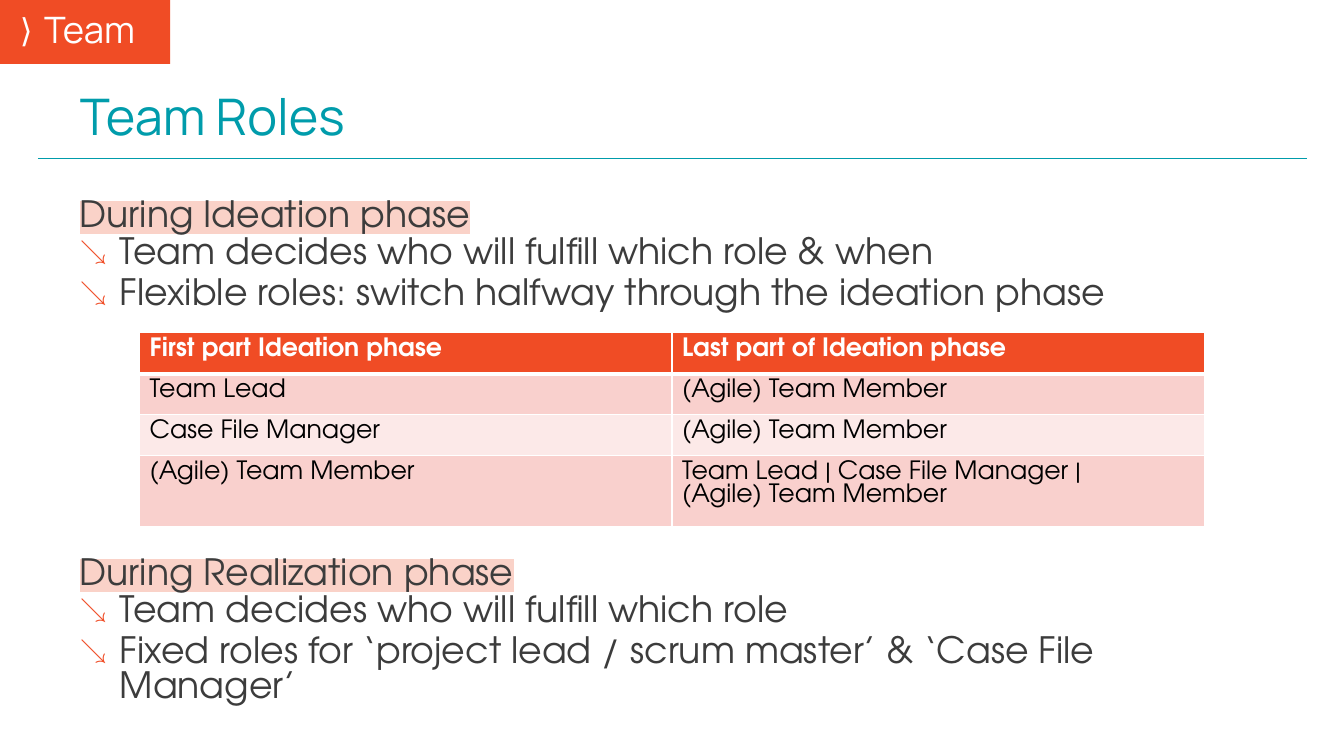
from lxml import etree
from pptx import Presentation
from pptx.dml.color import RGBColor
from pptx.enum.shapes import MSO_CONNECTOR, MSO_SHAPE
from pptx.enum.text import MSO_ANCHOR, PP_ALIGN
from pptx.oxml.ns import qn
from pptx.util import Pt

PX = 9525
STRAIGHT = MSO_CONNECTOR.STRAIGHT
RECTANGLE = MSO_SHAPE.RECTANGLE
LEFT = PP_ALIGN.LEFT
TOP, MIDDLE, BOTTOM = MSO_ANCHOR.TOP, MSO_ANCHOR.MIDDLE, MSO_ANCHOR.BOTTOM
HEADING_FONT, BODY_FONT = "Manrope", "TeX Gyre Adventor"
COLORS = {
    "orange": "F04C25", "teal": "009CAB", "text": "3C3C3C", "white": "FFFFFF",
    "black": "000000", "highlight": "FAD2C8", "band": "F9D0CD", "light": "FCE9E8",
}


def add_text(para, text, font, size, color, spacing, bold=False):
    para.alignment = LEFT
    para.line_spacing = spacing
    span = para.add_run()
    span.text = text
    span.font.size = Pt(size)
    span.font.bold = bold
    span.font.color.rgb = RGBColor.from_string(COLORS[color])
    span.font.name = font
    return span


def add_bullet(para, symbol, color, percent, indent):
    props = para._p.get_or_add_pPr()
    props.set("marL", str(indent * PX))
    props.set("indent", str(-indent * PX))
    bullet_color = etree.SubElement(props, qn("a:buClr"))
    etree.SubElement(bullet_color, qn("a:srgbClr"), val=COLORS[color])
    etree.SubElement(props, qn("a:buSzPct"), val=str(percent * 1000))
    etree.SubElement(props, qn("a:buFont"), typeface=HEADING_FONT)
    etree.SubElement(props, qn("a:buChar"), char=symbol)


deck = Presentation()
deck.slide_width, deck.slide_height = 1280 * PX, 720 * PX
page = deck.slides.add_slide(deck.slide_layouts[6])

rule = page.shapes.add_connector(STRAIGHT, 36 * PX, 151 * PX, 1245 * PX, 151 * PX)
rule.line.color.rgb = RGBColor.from_string(COLORS["teal"])
rule.line.width = Pt(0.5)
etree.SubElement(rule._element.spPr, qn("a:effectLst"))

body = page.shapes.add_textbox(0, 153 * PX, 1280 * PX, 550 * PX)
title = page.shapes.add_shape(RECTANGLE, 0, 60 * PX, 1280 * PX, 90 * PX)
tag = page.shapes.add_shape(RECTANGLE, 0, 0, 162 * PX, 61 * PX)

for box, fill in [(title, "white"), (tag, "orange")]:
    box.shadow.inherit = False
    box.fill.solid()
    box.fill.fore_color.rgb = RGBColor.from_string(COLORS[fill])
    box.line.fill.background()
title_color = title._element.spPr.find(qn("a:solidFill"))[0]
etree.SubElement(title_color, qn("a:alpha"), val="80000")

for box, anchor, insets in [
    (body, TOP, (76, 37, 76, 37)),
    (title, BOTTOM, (76, 27, 76, 11)),
    (tag, MIDDLE, (19, 12, 23, 12)),
]:
    frame = box.text_frame
    frame.word_wrap = True
    frame.vertical_anchor = anchor
    frame.margin_left, frame.margin_top, frame.margin_right, frame.margin_bottom = [
        inset * PX for inset in insets
    ]

add_text(title.text_frame.paragraphs[0], "Team Roles", HEADING_FONT, 36, "teal", 0.9)
tag_para = tag.text_frame.paragraphs[0]
add_bullet(tag_para, "⟩", "white", 90, 23)
add_text(tag_para, "Team", HEADING_FONT, 26, "white", 0.9)

phases = [
    ("During Ideation phase", [
        "Team decides who will fulfill which role & when",
        "Flexible roles: switch halfway through the ideation phase",
    ]),
    ("During Realization phase", [
        "Team decides who will fulfill which role",
        "Fixed roles for ‘project lead / scrum master’ & ‘Case File Manager’",
    ]),
]
for number, (phase, points) in enumerate(phases):
    if number:
        para = body.text_frame.add_paragraph()
        para.space_before = Pt(173)
    else:
        para = body.text_frame.paragraphs[0]
    span = add_text(para, phase, BODY_FONT, 25.9, "text", 0.8)
    highlight = etree.Element(qn("a:highlight"))
    etree.SubElement(highlight, qn("a:srgbClr"), val=COLORS["highlight"])
    span._r.rPr.find(qn("a:solidFill")).addnext(highlight)
    for point in points:
        para = body.text_frame.add_paragraph()
        add_bullet(para, "↘", "orange", 75, 38)
        para.space_before = para.space_after = Pt(2)
        add_text(para, point, BODY_FONT, 25.9, "text", 0.8)

roles = [
    (["First part Ideation phase"], ["Last part of Ideation phase"]),
    (["Team Lead"], ["(Agile) Team Member"]),
    (["Case File Manager"], ["(Agile) Team Member"]),
    (["(Agile) Team Member"], ["Team Lead | Case File Manager |", "(Agile) Team Member"]),
]
fills = ["orange", "band", "light", "band"]
table = page.shapes.add_table(4, 2, 133 * PX, 317 * PX, 1014 * PX, 156 * PX).table
for row, entries in enumerate(roles):
    header = row == 0
    for column, lines in enumerate(entries):
        cell = table.cell(row, column)
        cell.fill.solid()
        cell.fill.fore_color.rgb = RGBColor.from_string(COLORS[fills[row]])
        widths = {"lnL": 1, "lnR": 1, "lnT": 3 if row == 1 else 1, "lnB": 3 if header else 1}
        for position, (side, width) in enumerate(widths.items()):
            border = etree.Element(qn("a:" + side), w=str(Pt(width)))
            border_fill = etree.SubElement(border, qn("a:solidFill"))
            etree.SubElement(border_fill, qn("a:srgbClr"), val=COLORS["white"])
            cell._tc.get_or_add_tcPr().insert(position, border)
        for index, line in enumerate(lines):
            para = cell.text_frame.add_paragraph() if index else cell.text_frame.paragraphs[0]
            add_text(para, line, BODY_FONT, 18, "white" if header else "black", 1.0, header)

deck.save("out.pptx")
